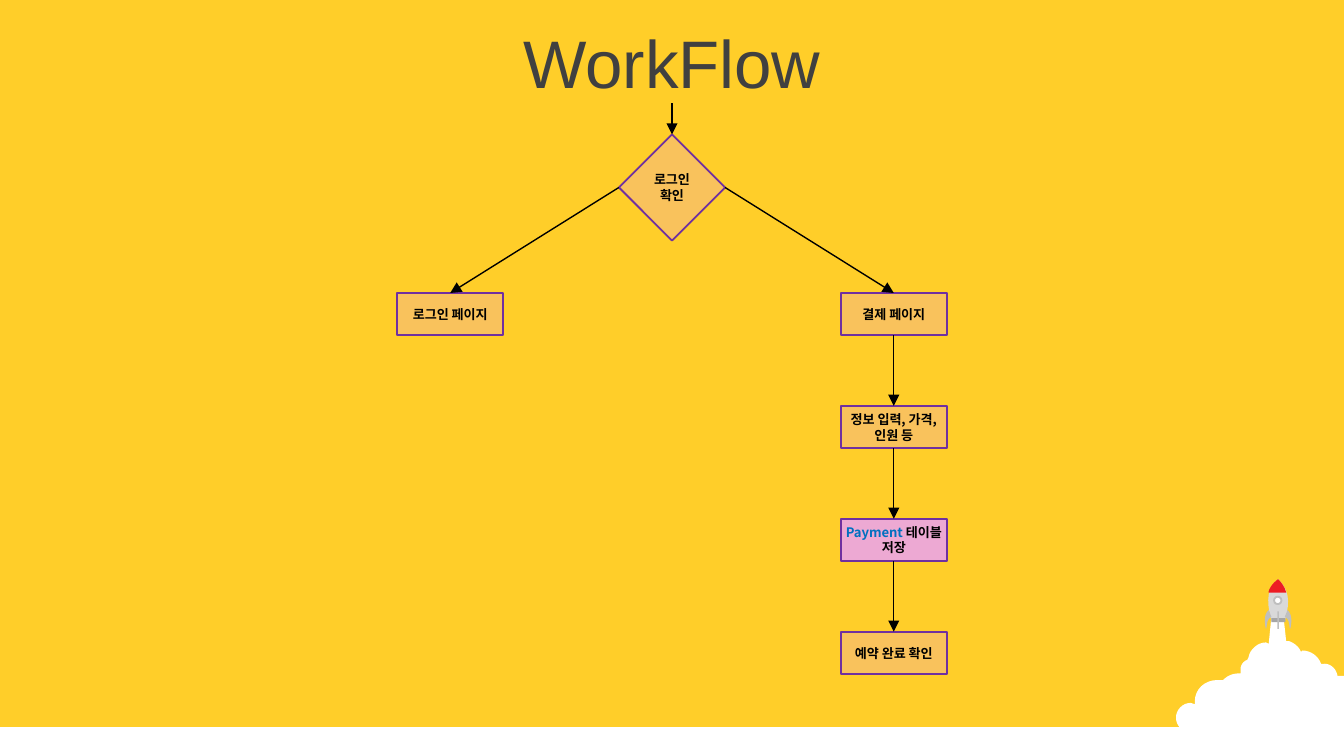
from lxml.etree import SubElement
from pptx import Presentation
from pptx.dml.color import RGBColor
from pptx.enum.shapes import MSO_CONNECTOR, MSO_SHAPE
from pptx.enum.text import MSO_ANCHOR, MSO_AUTO_SIZE, PP_ALIGN
from pptx.oxml.ns import qn
from pptx.util import Pt

PX = 4572  # 200 px to the inch
TOP, LEFT, BOTTOM, RIGHT = range(4)
BLACK, WHITE, GREY, PINK = "000000", "FFFFFF", "BFBFBF", "EDA9D3"

# Outlines in units of 2 px: pairs are corners, sixes are Bezier curves
CLOUD = [
    (71, 28), (80, 28), (82, 46), (84, 46), (87, 47, 90, 49, 92, 52),
    (93, 54), (94, 53), (100, 53, 106, 57, 108, 63), (109, 63),
    (114, 62, 119, 66, 120, 71), (120, 72), (125, 72), (125, 129),
    (123, 129), (119, 129, 115, 128, 112, 126), (110, 126),
    (108, 127, 106, 128, 103, 128), (100, 128, 98, 126, 96, 124),
    (94, 124), (92, 127, 89, 128, 85, 128), (82, 128, 79, 127, 77, 125),
    (74, 125), (70, 128, 65, 130, 59, 130), (48, 130, 42, 125, 38, 120),
    (36, 122, 32, 123, 29, 122), (25, 121, 19, 119, 18, 114),
    (17, 113), (16, 114, 14, 114, 11, 114), (5, 114, 0, 109, 0, 103),
    (0, 97, 5, 92, 11, 92), (14, 93), (14, 91), (14, 82, 21, 75, 31, 75),
    (35, 75), (39, 71, 43, 70, 48, 70), (48, 67), (48, 64, 50, 61, 53, 60),
    (54, 58), (55, 52, 61, 47, 67, 47), (69, 48),
]
BODY = [(71, 31), (69, 22, 65, 9, 76, 0), (87, 10, 83, 23, 81, 31)]
NOSE = [(76, 0), (79, 3, 81, 6, 82, 10), (69, 10), (69, 9), (70, 6, 72, 3, 76, 0)]
FIN = [(69, 23), (71, 28), (67, 30, 68, 35, 67, 37), (66, 34, 65, 26, 69, 23)]
FIN2 = [tuple(v if i % 2 else 152 - v for i, v in enumerate(step)) for step in FIN]


def color(hex):
    return RGBColor.from_string(hex)


def paint(shape, fill, line=None):
    shape.shadow.inherit = False
    shape.fill.solid()
    shape.fill.fore_color.rgb = color(fill)
    if line:
        shape.line.color.rgb = color(line)
        shape.line.width = Pt(1)
    else:
        shape.line.fill.background()
    return shape


def block(shapes, kind, box, fill, line=None):
    return paint(shapes.add_shape(kind, *[v * PX for v in box]), fill, line)


def write(para, text, size, font, tone, bold=False):
    para.alignment = PP_ALIGN.CENTER
    run = para.add_run()
    run.text = text
    run.font.size, run.font.name, run.font.bold = Pt(size), font, bold
    run.font.color.rgb = color(tone)
    SubElement(run.font._element, qn("a:ea"), typeface=font)


def trace(steps, count=8):
    """Turn corners and curves into a list of points."""
    points = []
    for step in steps:
        if len(step) == 2:
            points.append(step)
            continue
        x, y = points[-1]
        xs, ys = (x,) + step[::2], (y,) + step[1::2]
        for i in range(1, count + 1):
            t = i / count
            u = 1 - t
            mix = (u ** 3, 3 * u * u * t, 3 * u * t * t, t ** 3)
            points.append(tuple(sum(m * v for m, v in zip(mix, c)) for c in (xs, ys)))
    return points


def rocket(slide, left, top):
    shapes = slide.shapes.add_group_shape().shapes

    def outline(steps, fill):
        points = [(round((left + 2 * x) * PX), round((top + 2 * y) * PX))
                  for x, y in trace(steps)]
        build = shapes.build_freeform(*points[0])
        build.add_line_segments(points[1:], close=True)
        paint(build.convert_to_shape(), fill)

    def part(kind, x, y, wide, high, fill, line=None):
        block(shapes, kind, (left + x, top + y, wide, high), fill, line)

    outline(CLOUD, WHITE)
    outline(BODY, "D9D9D9")
    part(MSO_SHAPE.RECTANGLE, 142, 58, 21, 6, "A6A6A6")
    outline(NOSE, "ED1C24")
    part(MSO_SHAPE.OVAL, 146, 26, 11, 11, WHITE, GREY)
    part(MSO_SHAPE.RECTANGLE, 151, 48, 2, 26, GREY)
    outline(FIN, GREY)
    outline(FIN2, GREY)


def heading(slide, left, top, wide, high):
    title = slide.shapes.title
    title.left, title.top = left * PX, top * PX
    title.width, title.height = wide * PX, high * PX
    frame = title.text_frame
    frame.auto_size = MSO_AUTO_SIZE.NONE
    frame.vertical_anchor = MSO_ANCHOR.MIDDLE
    write(frame.paragraphs[0], "WorkFlow", 36, "Arial", "404040")
    return title


def node(slide, kind, box, lines, clear=True):
    shape = block(slide.shapes, kind, box, PINK, "7030A0")
    if clear:
        tone = shape.fill._xPr.find(".//" + qn("a:srgbClr"))
        SubElement(tone, qn("a:alpha"), val="30000")
    frame = shape.text_frame
    frame.word_wrap = True
    frame.vertical_anchor = MSO_ANCHOR.MIDDLE
    frame.margin_left = frame.margin_right = 0
    frame.margin_top = frame.margin_bottom = 10 * PX
    for i, runs in enumerate(lines):
        para = frame.add_paragraph() if i else frame.paragraphs[0]
        for text, tone in runs:
            write(para, text, 7, "Noto Sans CJK KR", tone, True)
    return shape


def arrow(slide, start, end, side=BOTTOM):
    link = slide.shapes.add_connector(MSO_CONNECTOR.STRAIGHT, 0, 0, 0, 0)
    link.begin_connect(start, side)
    link.end_connect(end, TOP)
    link.line.color.rgb = color(BLACK)
    link.line.width = Pt(0.75)
    SubElement(link.line._get_or_add_ln(), qn("a:tailEnd"), type="triangle")
    SubElement(link._element.spPr, qn("a:effectLst"))


def flow(slide, left, top, title):
    wide, high, step = 158, 63, 168
    first, right = top + 236, left + 660

    # Login check and its two branches
    check = node(slide, MSO_SHAPE.DIAMOND, (left + 330, top, wide, wide),
                 [[("로그인", BLACK)], [("확인", BLACK)]])
    login = node(slide, MSO_SHAPE.RECTANGLE, (left, first, wide, high),
                 [[("로그인 페이지", BLACK)]])

    # Payment column
    column = [
        [[("결제 페이지", BLACK)]],
        [[("정보 입력, 가격,", BLACK)], [("인원 등", BLACK)]],
        [[("Payment ", "0070C0"), ("테이블", BLACK)], [("저장", BLACK)]],
        [[("예약 완료 확인", BLACK)]],
    ]
    pages = [node(slide, MSO_SHAPE.RECTANGLE,
                  (right, first + i * step, wide, high), lines, clear=i != 2)
             for i, lines in enumerate(column)]

    # Arrows
    arrow(slide, check, login, LEFT)
    arrow(slide, check, pages[0], RIGHT)
    for start, end in zip(pages, pages[1:]):
        arrow(slide, start, end)
    arrow(slide, title, check)


def main():
    deck = Presentation()
    deck.slide_width, deck.slide_height = 2000 * PX, 1125 * PX
    slide = deck.slides.add_slide(deck.slide_layouts[5])
    slide.background.fill.solid()
    slide.background.fill.fore_color.rgb = color("FFCE29")

    # Ground strip and rocket
    block(slide.shapes, MSO_SHAPE.RECTANGLE, (0, 1082, 2000, 43), WHITE)
    rocket(slide, 1750, 862)

    # Title and flow chart
    title = heading(slide, 0, 28, 2000, 126)
    flow(slide, 591, 200, title)
    deck.save("out.pptx")


if __name__ == "__main__":
    main()
